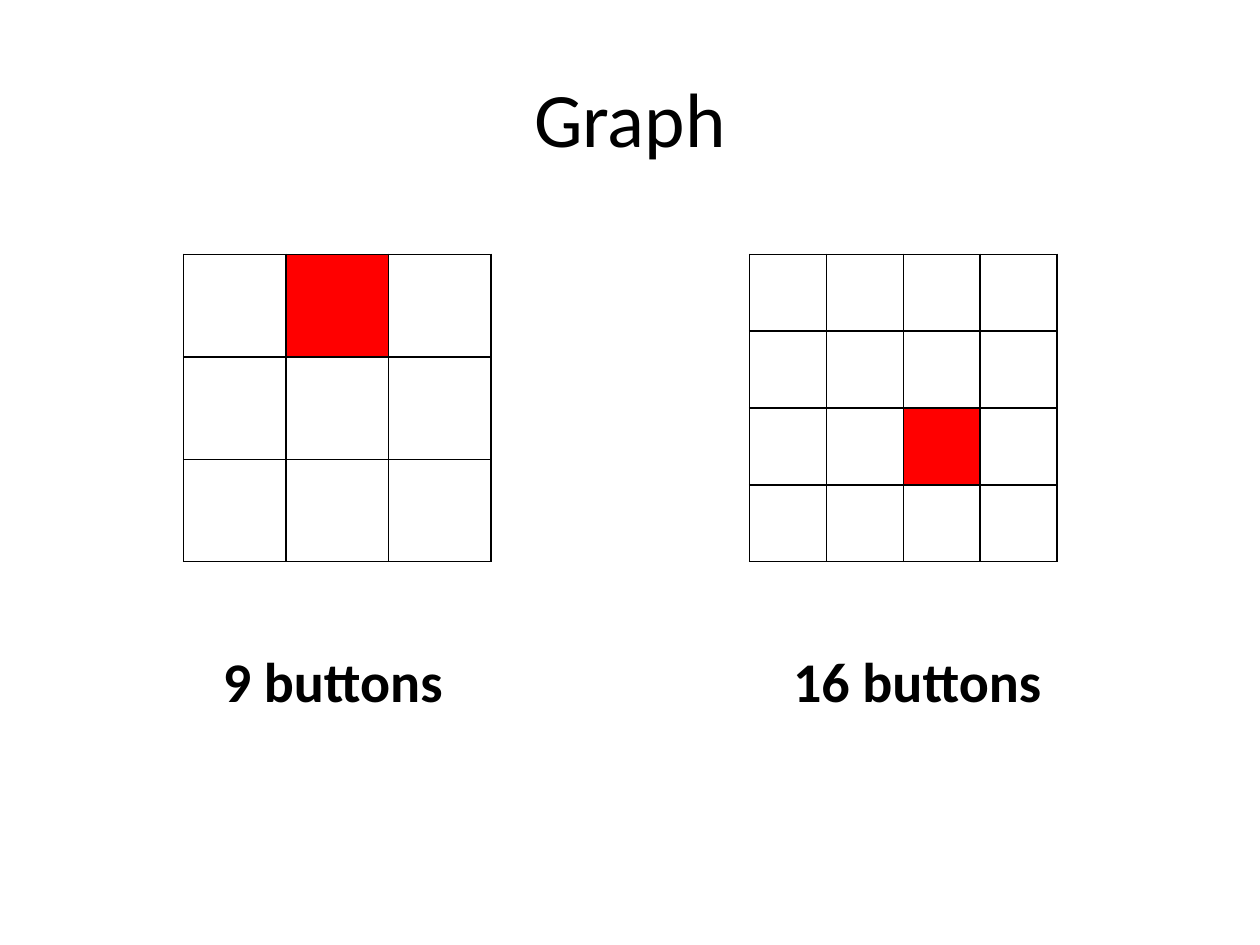
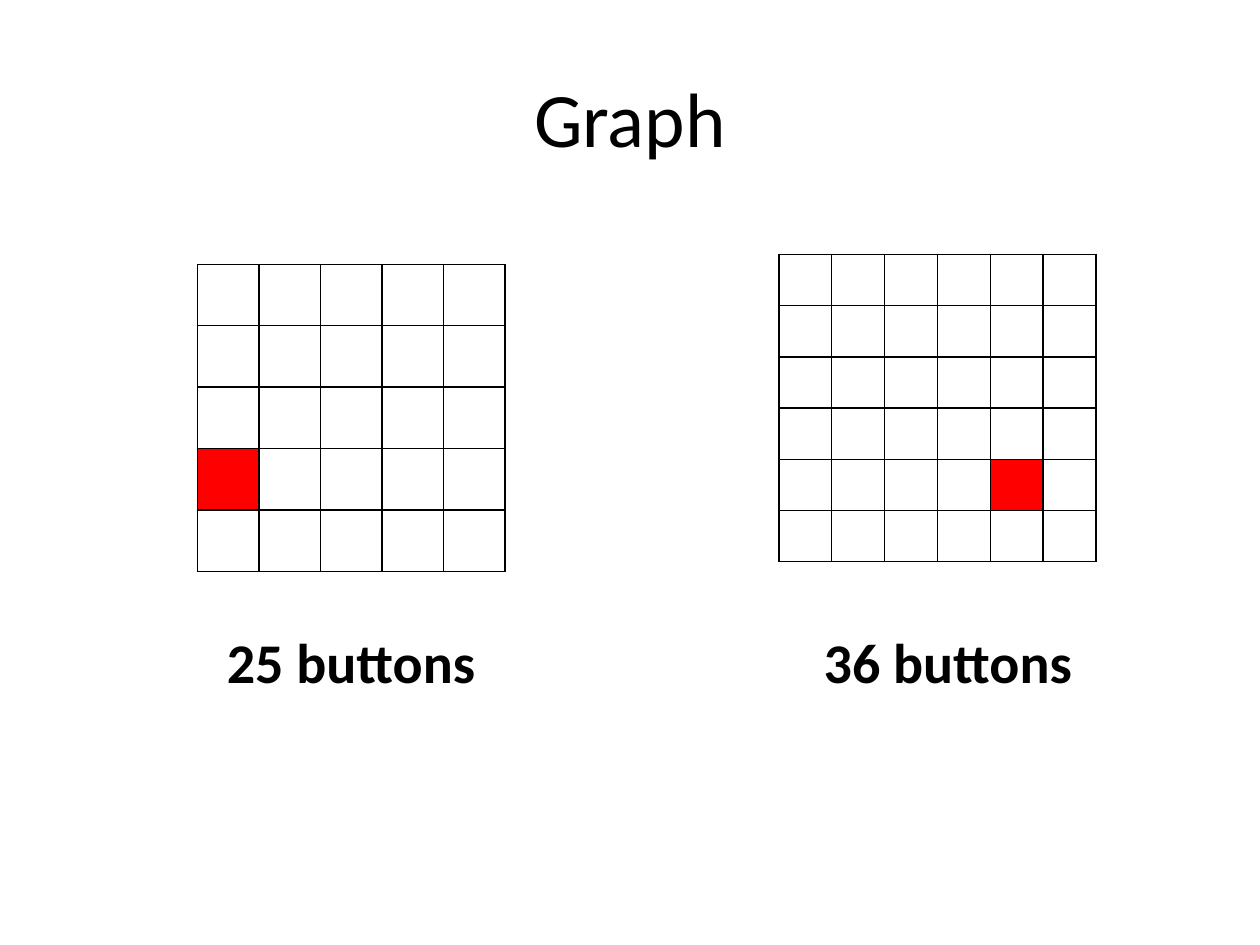
from lxml.etree import SubElement
from pptx import Presentation
from pptx.dml.color import RGBColor
from pptx.enum.text import MSO_ANCHOR, MSO_AUTO_SIZE, PP_ALIGN
from pptx.oxml.ns import qn
from pptx.util import Pt

BLACK = RGBColor(0, 0, 0)
RED = RGBColor(255, 0, 0)
FONT = "Calibri"
SIDE = 175.7
SLIDES = [
    [
        dict(count=3, left=105, top=145.3, hit=(0, 1), label=(111, 366)),
        dict(count=4, left=428.4, top=145.3, hit=(2, 2), label=(445, 366)),
    ],
    [
        dict(count=5, left=113, top=151, hit=(3, 0), label=(121.5, 355)),
        dict(count=6, left=445, top=145.3, hit=(4, 4), label=(462.5, 355),
             width=181.4),
    ],
]


def write(frame, text, size, bold=False):
    frame.text = text
    line = frame.paragraphs[0]
    line.alignment = PP_ALIGN.CENTER
    line.font.name = FONT
    line.font.size = Pt(size)
    line.font.bold = bold
    line.font.color.rgb = BLACK


def add_title(slide, text):
    title = slide.shapes.title
    title.left, title.top = Pt(36), Pt(21.6)
    title.width, title.height = Pt(648), Pt(90)
    title.text_frame.vertical_anchor = MSO_ANCHOR.MIDDLE
    write(title.text_frame, text, 44)


def add_label(slide, text, left, top):
    box = slide.shapes.add_textbox(Pt(left), Pt(top), Pt(158.4), Pt(46))
    frame = box.text_frame
    frame.word_wrap = True
    frame.auto_size = MSO_AUTO_SIZE.SHAPE_TO_FIT_TEXT
    write(frame, text, 32, True)


def add_border(cell):
    props = cell._tc.get_or_add_tcPr()
    for index, edge in enumerate(("lnL", "lnR", "lnT", "lnB")):
        line = props.makeelement(qn(f"a:{edge}"), {"w": str(Pt(1))})
        fill = SubElement(line, qn("a:solidFill"))
        SubElement(fill, qn("a:srgbClr"), val=str(BLACK))
        props.insert(index, line)


def style_cell(cell, lit):
    cell.margin_top = cell.margin_bottom = 0
    cell.text_frame.paragraphs[0].font.size = Pt(12)
    if lit:
        cell.fill.solid()
        cell.fill.fore_color.rgb = RED
    else:
        cell.fill.background()
    add_border(cell)


def add_grid(slide, count, left, top, hit, width):
    table = slide.shapes.add_table(
        count, count, Pt(left), Pt(top), Pt(width), Pt(SIDE)).table
    table.first_row = table.horz_banding = False
    for column in table.columns:
        column.width = Pt(width / count)
    for y, row in enumerate(table.rows):
        row.height = Pt(SIDE / count)
        for x, cell in enumerate(row.cells):
            style_cell(cell, (y, x) == hit)


def add_panel(slide, count, left, top, hit, label, width=SIDE):
    add_label(slide, f"{count ** 2} buttons", *label)
    add_grid(slide, count, left, top, hit, width)


def main():
    deck = Presentation()
    deck.slide_width, deck.slide_height = Pt(720), Pt(540)
    for panels in SLIDES:
        slide = deck.slides.add_slide(deck.slide_layouts[5])
        add_title(slide, "Graph")
        for panel in panels:
            add_panel(slide, **panel)
    deck.save("out.pptx")


if __name__ == "__main__":
    main()
